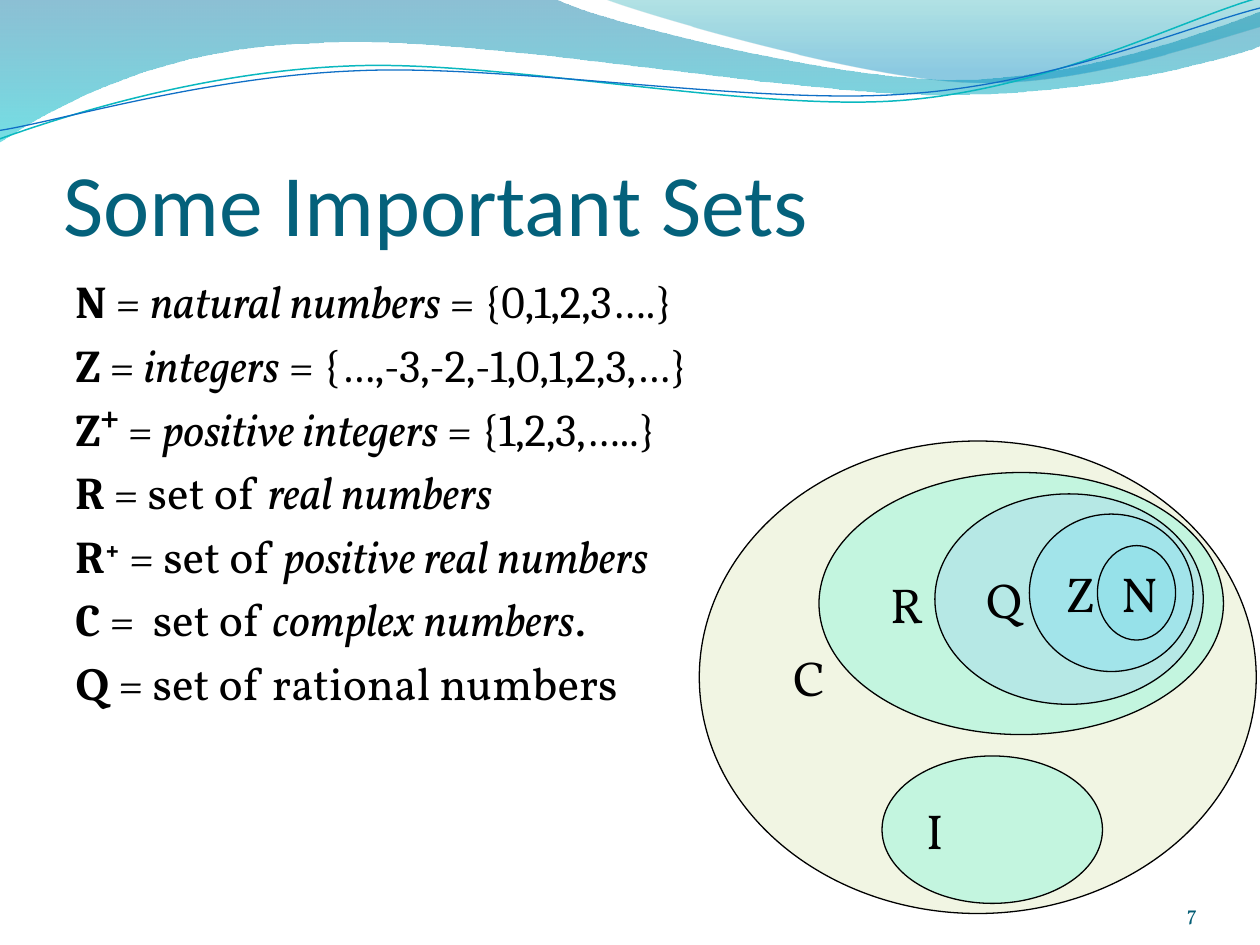
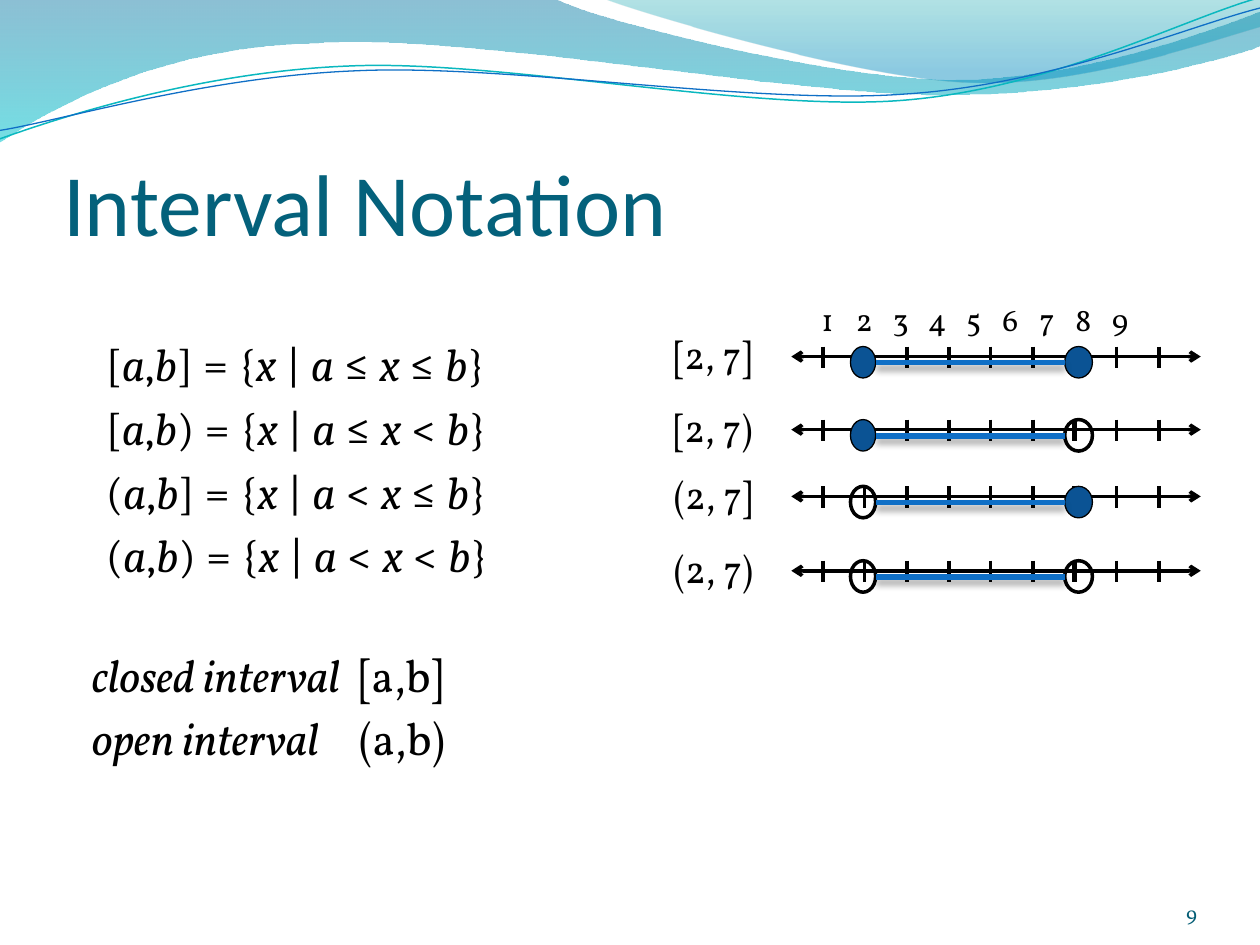
"""Build two slides on number sets and interval notation."""
from dataclasses import dataclass
from itertools import product

from lxml.etree import SubElement
from pptx import Presentation
from pptx.dml.color import RGBColor
from pptx.enum.shapes import MSO_CONNECTOR, MSO_SHAPE
from pptx.enum.text import MSO_ANCHOR, MSO_AUTO_SIZE, PP_ALIGN
from pptx.oxml.ns import qn
from pptx.util import Pt

PX = 9144
OVAL = MSO_SHAPE.OVAL
LINE = MSO_CONNECTOR.STRAIGHT
TOP, MIDDLE, BOTTOM = MSO_ANCHOR.TOP, MSO_ANCHOR.MIDDLE, MSO_ANCHOR.BOTTOM
LEFT, RIGHT = PP_ALIGN.LEFT, PP_ALIGN.RIGHT
FIXED = MSO_AUTO_SIZE.NONE


@dataclass(frozen=True)
class Theme:
    """Colours, fonts and type sizes of the deck."""
    ink: str = "000000"
    head: str = "04617B"
    foot: str = "045D75"
    dot: str = "0B5394"
    span: str = "0F6FC6"
    teal: str = "0AB8BF"
    mint: str = "94F7DC"
    serif: str = "Vollkorn"
    math: str = "Cambria"
    sans: str = "Calibri"
    title: int = 50
    body: int = 26
    set: int = 28
    label: int = 22
    scale: int = 18
    page: int = 12


T = Theme()

BANDS = [
    ([(0, 0), (440, -1), (476, 17, 664, 63, 758, 63), (853, 63, 958, 26, 1000, 9),
      (1001, 36), (983, 44, 870, 76, 746, 75), (622, 75, 382, 28, 257, 34),
      (129, 36, 46, 83, -1, 113), (0, 0)],
     [(0, "0074A1", 45), (1, "00C6CF", 55)]),
    ([(479, -1), (509, 11, 682, 62, 769, 65), (856, 69, 961, 32, 1000, 21), (1000, 0),
      (479, -1)],
     [(0, "00A1A9", 30), (0.8, "008BBF", 45)]),
]
WAVES = [
    ([(-3, 87), (46, 72, 158, 41, 277, 42), (395, 42, 592, 93, 712, 90),
      (832, 87, 940, 36, 1001, 22)], T.teal, 0.85),
    ([(-2, 80), (45, 75, 164, 45, 283, 46), (403, 46, 596, 88, 716, 85),
      (836, 83, 943, 42, 1002, 30)], T.span, 0.75),
]
SETS = [
    [("N", "bm"), (" = ", ""), ("natural numbers ", "i"), ("= ", ""), ("{0,1,2,3….}", "m")],
    [("Z", "bm"), (" = ", ""), ("integers", "i"), (" = ", ""), ("{…,-3,-2,-1,0,1,2,3,…}", "m")],
    [("Z⁺", "bm"), (" = ", ""), ("positive integers ", "i"), ("= ", ""), ("{1,2,3,…..}", "m")],
    [("R", "bm"), (" = set of ", ""), ("real numbers", "i")],
    [("R", "bm"), ("+", "bm^"), (" = set of ", ""), ("positive real numbers", "i")],
    [("C", "bm"), (" =  set of ", ""), ("complex numbers", "i"), (".", "")],
    [("Q", "b"), (" = set of rational numbers", "")],
]
KINDS = [
    [("closed interval", "i"), ("\t[a,b]", "")],
    [("open interval", "i"), ("\t(a,b)", "")],
]
OVALS = [
    ("C", 0, 0, 442, 375, "DBE7B6", 38),
    ("R", 95, 25, 321, 208, T.mint, 49),
    ("Q", 187, 42, 213, 167, "91C6F7", 26),
    ("Z", 262, 58, 130, 125, "6BDBFA", 26),
    ("N", 316, 83, 62, 75, "77D9E8", 26),
    ("I", 145, 250, 175, 117, T.mint, 49),
]
PAIRS = list(product("[(", "])"))


def rgb(code):
    """Turn a hex code into a colour."""
    return RGBColor.from_string(code)


def place(*box):
    """Turn px lengths into EMU."""
    return [round(v * PX) for v in box]


def fade(shape, *rates):
    """Give each colour of a shape's fill its opacity in percent."""
    for tint, rate in zip(shape.element.spPr.iter(qn("a:srgbClr")), rates):
        SubElement(tint, qn("a:alpha"), val=str(rate * 1000))


def write(shape, rows, size=T.body, font=T.serif, color=T.ink, align=LEFT, anchor=TOP,
          inset=(10, 5, 10, 5), before=0, gaps=None, indents=None, tabs=(), wrap=True):
    """Fill a shape with rows of (text, style) runs."""
    frame = shape.text_frame
    frame.auto_size, frame.word_wrap, frame.vertical_anchor = FIXED, wrap, anchor
    (frame.margin_left, frame.margin_top,
     frame.margin_right, frame.margin_bottom) = place(*inset)
    for i, row in enumerate(rows):
        para = frame.add_paragraph() if i else frame.paragraphs[0]
        para.alignment = align
        props = para._p.get_or_add_pPr()
        if indents and indents[i]:
            props.set("marL", str(indents[i] * PX))
        if gaps and i in gaps:
            para.space_before = Pt(gaps[i])
        elif before:
            gap = SubElement(props, qn("a:spcBef"))
            SubElement(gap, qn("a:spcPct"), val=str(before * 1000))
        if tabs:
            stops = SubElement(props, qn("a:tabLst"))
            for spot, kind in tabs:
                SubElement(stops, qn("a:tab"), pos=str(spot * PX), algn=kind)
        for words, style in row:
            run = para.add_run()
            run.text = words
            face = run.font
            face.name = T.math if "m" in style else font
            face.size, face.color.rgb = Pt(size), rgb(color)
            face.bold, face.italic = "b" in style, "i" in style
            if "^" in style:
                face._element.set("baseline", "30000")


def text(slide, box, rows, **form):
    """Add a text box."""
    write(slide.shapes.add_textbox(*place(*box)), rows, **form)


def curve(slide, path, close):
    """Draw a freeform of corners and cubic curves."""
    spots = [place(*part[k:k + 2]) for part in path for k in range(0, len(part), 2)]
    pen = slide.shapes.build_freeform(*spots[0], scale=1.0)
    pen.add_line_segments(spots[1:], close=close)
    shape = pen.convert_to_shape()
    shape.shadow.inherit = False
    legs = iter(list(shape.element.spPr.iter(qn("a:lnTo"))))
    for part in path[1:]:
        leg = next(legs)
        if len(part) == 6:
            leg.tag = qn("a:cubicBezTo")
            for _ in range(2):
                more = next(legs)
                more.getparent().remove(more)
                leg.append(more[0])
    return shape


def header(slide):
    """Draw the wavy header and hand it to the slide's layout."""
    parts = []
    for path, stops in BANDS:
        band = curve(slide, path, True)
        band.fill.gradient()
        band.fill.gradient_angle = 270
        for stop, (spot, color, _) in zip(band.fill.gradient_stops, stops):
            stop.position, stop.color.rgb = spot, rgb(color)
        fade(band, *(rate for _, _, rate in stops))
        band.line.fill.background()
        parts.append(band)
    for path, color, width in WAVES:
        wave = curve(slide, path, False)
        wave.rotation = 357.3
        wave.fill.background()
        wave.line.color.rgb, wave.line.width = rgb(color), Pt(width)
        parts.append(wave)
    for i, part in enumerate(parts):
        slide.slide_layout.shapes.element.insert(2 + i, part.element)


def frame(deck, title, page):
    """Add a slide with its title and page number."""
    slide = deck.slides.add_slide(deck.slide_layouts[5])
    head = slide.shapes.title
    head.left, head.top, head.width, head.height = place(50, 77, 900, 125)
    write(head, [[(title, "")]], size=T.title, font=T.sans, color=T.head,
          anchor=BOTTOM, inset=(0, 5, 0, 0))
    text(slide, (867, 695, 83, 40), [[(page, "")]], size=T.page, color=T.foot,
         align=RIGHT, anchor=BOTTOM, inset=(0, 0, 0, 0))
    return slide


def oval(slide, box, fill=None, width=0.75, rate=100):
    """Add an outlined ellipse."""
    shape = slide.shapes.add_shape(OVAL, *place(*box))
    shape.shadow.inherit = False
    if fill:
        shape.fill.solid()
        shape.fill.fore_color.rgb = rgb(fill)
        fade(shape, rate)
    else:
        shape.fill.background()
    shape.line.color.rgb, shape.line.width = rgb(T.ink), Pt(width)
    return shape


def line(slide, ends, color=T.ink, width=2, arrows=False, shade=False):
    """Add a straight line, with arrows at both ends or a soft shadow if asked."""
    link = slide.shapes.add_connector(LINE, *place(*ends))
    link.line.color.rgb, link.line.width = rgb(color), Pt(width)
    if arrows:
        for end in ("a:headEnd", "a:tailEnd"):
            SubElement(link.line._get_or_add_ln(), qn(end), type="arrow")
    effects = SubElement(link.element.spPr, qn("a:effectLst"))
    if shade:
        drop = SubElement(effects, qn("a:outerShdw"), blurRad=str(Pt(4)), dist=str(Pt(3)),
                          dir="5400000", rotWithShape="0")
        tint = SubElement(drop, qn("a:srgbClr"), val=T.ink)
        SubElement(tint, qn("a:alpha"), val="40000")


def venn(slide, x, y):
    """Draw the nested number sets."""
    for name, dx, dy, w, h, fill, rate in OVALS:
        shape = oval(slide, (x + dx, y + dy, w, h), fill, rate=rate)
        write(shape, [[(name, "")]], size=T.set, anchor=MIDDLE)


def ruler(slide, x, y, pair, bold):
    """Draw one interval on its number line."""
    start, end = pair
    line(slide, (x + 103, y + 8, x + 428, y + 8), arrows=True)
    for i in range(9):
        spot = x + 128 + round(i * 100 / 3)
        line(slide, (spot, y, spot, y + 17), width=3 if bold and i == 6 else 2)
    for dx, w, shut in ((150, 20, start == "["), (320, 22, end == "]")):
        oval(slide, (x + dx, y, w, 25), T.dot if shut else None, 0.75 if shut else 2)
    line(slide, (x + 170, y + 13, x + 320, y + 13), T.span, 3, shade=True)
    text(slide, (x, y - 17, 88, 47), [[(f"{start}2, 7{end}", "")]], size=T.label, wrap=False)


def rule(start, end):
    """Spell an interval in set notation."""
    low, high = "≤" if start == "[" else "<", "≤" if end == "]" else "<"
    words = [start, "a", ",", "b", end + " = {", "x", " | ", "a ", low + " ", "x",
             f" {high} ", "b", "}"]
    return [(word, "mi" if i % 2 else "m") for i, word in enumerate(words)]


def main():
    """Build and save the deck."""
    deck = Presentation()
    deck.slide_width, deck.slide_height = place(1000, 750)

    slide = frame(deck, "Some Important Sets", "7")
    header(slide)
    text(slide, (50, 212, 900, 480), SETS, before=20)
    venn(slide, 555, 350)

    slide = frame(deck, "Interval Notation", "9")
    text(slide, (50, 212, 425, 480), [rule(*pair) for pair in PAIRS] + KINDS, before=20,
         inset=(23, 55, 10, 5), gaps={4: 37}, indents=[11] * 4 + [0] * 2, tabs=[(212, "l")])
    digits = "\t".join(str(n) for n in range(1, 10))
    text(slide, (642, 233, 295, 40), [[(digits, "")]], size=T.scale,
         tabs=[(34 + 29 * i, "ctr") for i in range(8)])
    for i, (y, pair) in enumerate(zip((275, 333, 386, 445), PAIRS)):
        ruler(slide, 525, y, pair, i > 0)
    deck.save("out.pptx")


if __name__ == "__main__":
    main()
